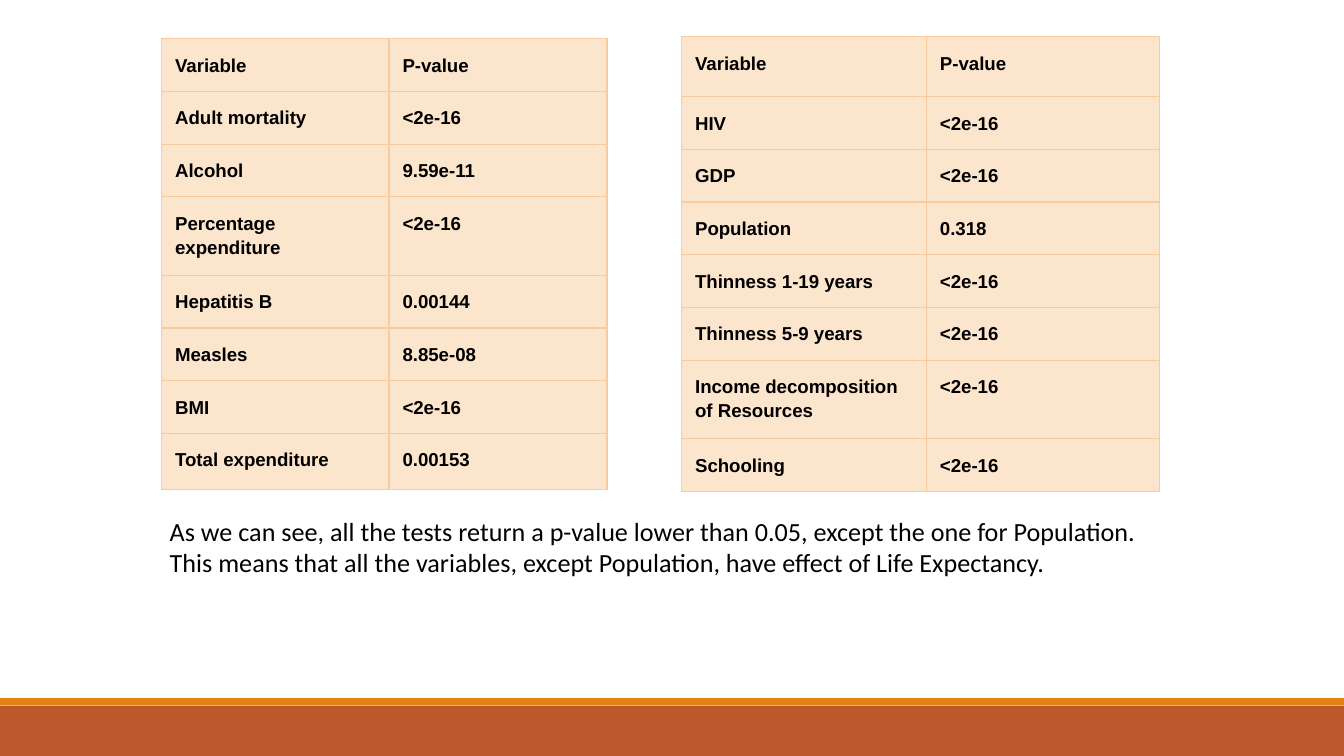
import dataclasses

import lxml.etree
import pptx
import pptx.dml.color
import pptx.enum.shapes
import pptx.enum.text
import pptx.oxml.ns
import pptx.util

GRID_UNIT = pptx.util.Inches(0.1)
SLIDE_COLUMNS = 100
SLIDE_ROWS = 56.25

BRICK = pptx.dml.color.RGBColor(0xBD, 0x58, 0x2C)
ORANGE = pptx.dml.color.RGBColor(0xE4, 0x83, 0x12)
PEACH = pptx.dml.color.RGBColor(0xFC, 0xE5, 0xCD)
APRICOT = pptx.dml.color.RGBColor(0xF9, 0xCB, 0x9C)
BLACK = pptx.dml.color.RGBColor(0, 0, 0)

HEADER = ("Variable", "P-value")
CELL_MARGIN = 1
BORDER_WIDTH = pptx.util.Pt(0.75)


@dataclasses.dataclass(frozen=True)
class Band:
    top: float
    height: float
    color: pptx.dml.color.RGBColor


@dataclasses.dataclass(frozen=True)
class ResultTable:
    left: float
    top: float
    column_widths: tuple[float, ...]
    row_heights: tuple[float, ...]
    results: tuple[tuple[str, str], ...]


BANDS = (
    Band(52.5, 3.75, BRICK),
    Band(51.95, 0.55, ORANGE),
)

RESULT_TABLES = (
    ResultTable(
        12.03, 2.88, (16.92, 16.22), (3.9,) * 3 + (5.85,) + (3.9,) * 3 + (4.15,),
        (
            ("Adult mortality", "<2e-16"),
            ("Alcohol", "9.59e-11"),
            ("Percentage expenditure", "<2e-16"),
            ("Hepatitis B", "0.00144"),
            ("Measles", "8.85e-08"),
            ("BMI", "<2e-16"),
            ("Total expenditure", "0.00153"),
        ),
    ),
    ResultTable(
        50.72, 2.74, (18.22, 17.32), (4.45,) + (3.9,) * 5 + (5.85, 3.9),
        (
            ("HIV", "<2e-16"),
            ("GDP", "<2e-16"),
            ("Population", "0.318"),
            ("Thinness 1-19 years", "<2e-16"),
            ("Thinness 5-9 years", "<2e-16"),
            ("Income decomposition of Resources", "<2e-16"),
            ("Schooling", "<2e-16"),
        ),
    ),
)

CONCLUSION = (
    "As we can see, all the tests return a p-value lower than 0.05, except the one "
    "for Population. This means that all the variables, except Population, have "
    "effect of Life Expectancy."
)


def grid(units: float) -> int:
    return round(units * GRID_UNIT)


def write_text(text_frame, text: str, *, font: str, size: float,
               bold: bool = False, line_spacing: float = 1.0) -> None:
    paragraph = text_frame.paragraphs[0]
    paragraph.line_spacing = line_spacing
    run = paragraph.add_run()
    run.text = text
    run.font.name = font
    run.font.size = pptx.util.Pt(size)
    run.font.bold = bold
    run.font.color.rgb = BLACK


def set_margins(holder, horizontal: float, vertical: float) -> None:
    holder.margin_left = holder.margin_right = grid(horizontal)
    holder.margin_top = holder.margin_bottom = grid(vertical)


def add_band(slide, band: Band) -> None:
    shape = slide.shapes.add_shape(
        pptx.enum.shapes.MSO_SHAPE.RECTANGLE,
        0, grid(band.top), grid(SLIDE_COLUMNS), grid(band.height))
    shape.shadow.inherit = False
    shape.fill.solid()
    shape.fill.fore_color.rgb = band.color
    shape.line.fill.background()


def add_borders(cell) -> None:
    properties = cell._tc.get_or_add_tcPr()
    for side in ("a:lnL", "a:lnR", "a:lnT", "a:lnB"):
        line = lxml.etree.SubElement(
            properties, pptx.oxml.ns.qn(side), w=str(BORDER_WIDTH))
        fill = lxml.etree.SubElement(line, pptx.oxml.ns.qn("a:solidFill"))
        lxml.etree.SubElement(fill, pptx.oxml.ns.qn("a:srgbClr"), val=str(APRICOT))


def add_result_table(slide, result_table: ResultTable) -> None:
    rows = (HEADER, *result_table.results)
    table = slide.shapes.add_table(
        len(rows), len(HEADER), grid(result_table.left), grid(result_table.top),
        grid(sum(result_table.column_widths)),
        grid(sum(result_table.row_heights))).table
    for column, width in zip(table.columns, result_table.column_widths):
        column.width = grid(width)
    for row, height, values in zip(table.rows, result_table.row_heights, rows):
        row.height = grid(height)
        for cell, value in zip(row.cells, values):
            set_margins(cell, CELL_MARGIN, CELL_MARGIN)
            add_borders(cell)
            cell.fill.solid()
            cell.fill.fore_color.rgb = PEACH
            write_text(cell.text_frame, value, font="Arial", size=10,
                       bold=True, line_spacing=1.15)


def add_conclusion(slide) -> None:
    text_box = slide.shapes.add_textbox(
        grid(11.93), grid(37.95), grid(74.3), grid(5.5))
    text_frame = text_box.text_frame
    text_frame.word_wrap = True
    text_frame.auto_size = pptx.enum.text.MSO_AUTO_SIZE.SHAPE_TO_FIT_TEXT
    set_margins(text_frame, 0.7, 0.4)
    write_text(text_frame, CONCLUSION, font="Calibri", size=14)


def main() -> None:
    presentation = pptx.Presentation()
    presentation.slide_width = grid(SLIDE_COLUMNS)
    presentation.slide_height = grid(SLIDE_ROWS)
    slide = presentation.slides.add_slide(
        presentation.slide_layouts.get_by_name("Blank"))
    for band in BANDS:
        add_band(slide, band)
    add_conclusion(slide)
    for result_table in RESULT_TABLES:
        add_result_table(slide, result_table)
    presentation.save("out.pptx")


if __name__ == "__main__":
    main()
